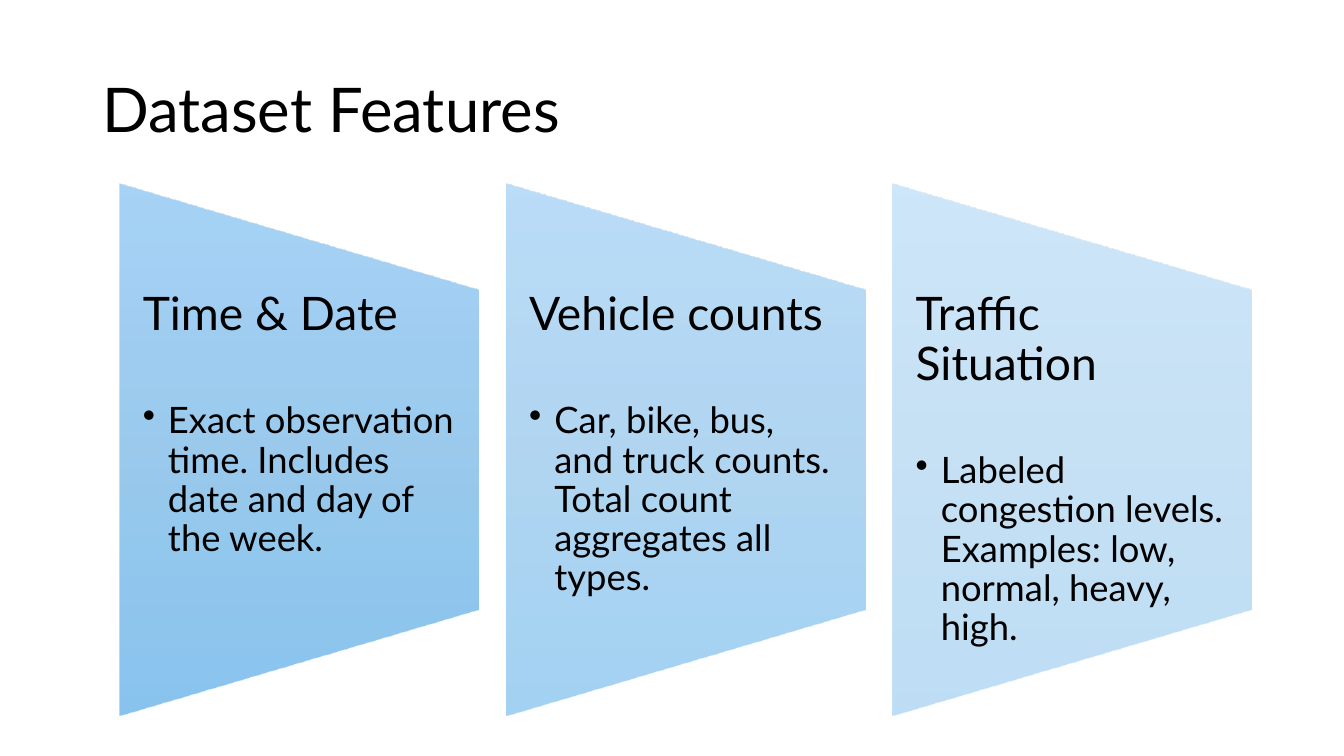
from lxml.etree import SubElement
from pptx import Presentation
from pptx.dml.color import RGBColor
from pptx.enum.shapes import MSO_SHAPE as SHAPE
from pptx.enum.text import MSO_ANCHOR as ANCHOR
from pptx.oxml import parse_xml
from pptx.oxml.ns import nsdecls, qn
from pptx.util import Pt

PX = 9525  # 96 px to the inch
COLORS = {"text": "000000", "top": "9ECFF5", "middle": "90C4EB", "bottom": "7CBEED"}
FONT = "Lato"

FEATURES = [
    ("Time & Date", "Exact observation time. Includes date and day of the week.", 90),
    ("Vehicle counts", "Car, bike, bus, and truck counts. Total count aggregates all types.", 70),
    ("Traffic Situation", "Labeled congestion levels. Examples: low, normal, heavy, high.", 50),
]
PANEL_LEFT, PANEL_STEP, PANEL_WIDTH, PANEL_HEIGHT = 114, 368, 342, 506
PANEL_MIDDLE = 428
BODY_HEIGHT = 302
BODY_INSET = 22
BULLET_INDENT = 24


def add_text_frame(left, top, width, height):
    frame = slide.shapes.add_textbox(left * PX, top * PX, width * PX, height * PX).text_frame
    frame.word_wrap = True
    return frame


def write(paragraph, text, size):
    paragraph.line_spacing = 0.9
    run = paragraph.add_run()
    run.text = text
    run.font.name = FONT
    run.font.size = Pt(size)
    run.font.color.rgb = RGBColor.from_string(COLORS["text"])


prs = Presentation()
prs.slide_width, prs.slide_height = 1280 * PX, 720 * PX
slide = prs.slides.add_slide(prs.slide_layouts[6])

title = add_text_frame(88, 38, 1104, 139)
title.vertical_anchor = ANCHOR.MIDDLE
write(title.paragraphs[0], "Dataset Features", 44)

for index, (heading, details, opacity) in enumerate(FEATURES):
    left = PANEL_LEFT + index * PANEL_STEP

    # The panel lies on its side, so its unturned box is wide and low.
    panel = slide.shapes.add_shape(
        SHAPE.FLOWCHART_MANUAL_OPERATION,
        (left + (PANEL_WIDTH - PANEL_HEIGHT) // 2) * PX,
        (PANEL_MIDDLE - PANEL_WIDTH // 2) * PX,
        PANEL_HEIGHT * PX,
        PANEL_WIDTH * PX,
    )
    panel.rotation = 270
    panel.shadow.inherit = False
    panel.line.fill.background()
    stops = "".join(
        f'<a:gs pos="{position * 1000}"><a:srgbClr val="{COLORS[name]}">'
        f'<a:alpha val="{opacity * 1000}"/></a:srgbClr></a:gs>'
        for position, name in ((0, "top"), (50, "middle"), (100, "bottom"))
    )
    gradient = parse_xml(
        f'<a:gradFill {nsdecls("a")} rotWithShape="0"><a:gsLst>{stops}</a:gsLst>'
        '<a:lin ang="5400000" scaled="0"/></a:gradFill>'
    )
    panel._element.spPr.find(qn("a:prstGeom")).addnext(gradient)

    body = add_text_frame(left, PANEL_MIDDLE - BODY_HEIGHT // 2, PANEL_WIDTH, BODY_HEIGHT)
    body.margin_left = body.margin_right = BODY_INSET * PX
    body.margin_top = body.margin_bottom = 0
    write(body.paragraphs[0], heading, 33)

    bullet = body.add_paragraph()
    bullet.level = 1
    bullet.space_before = Pt(44)
    write(bullet, details, 26)
    properties = bullet._p.get_or_add_pPr()
    properties.set("marL", str(BULLET_INDENT * PX))
    properties.set("indent", str(-BULLET_INDENT * PX))
    SubElement(properties, qn("a:buChar"), char="•")

prs.save("out.pptx")
